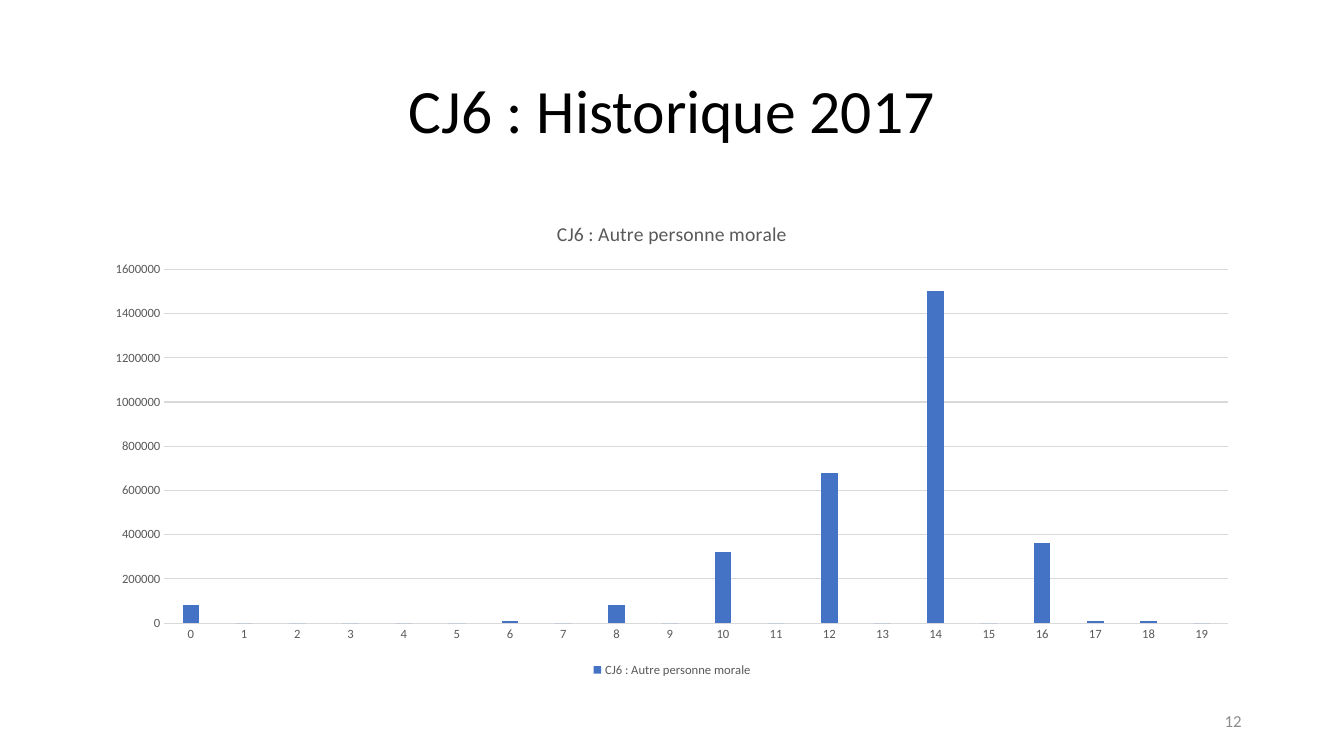
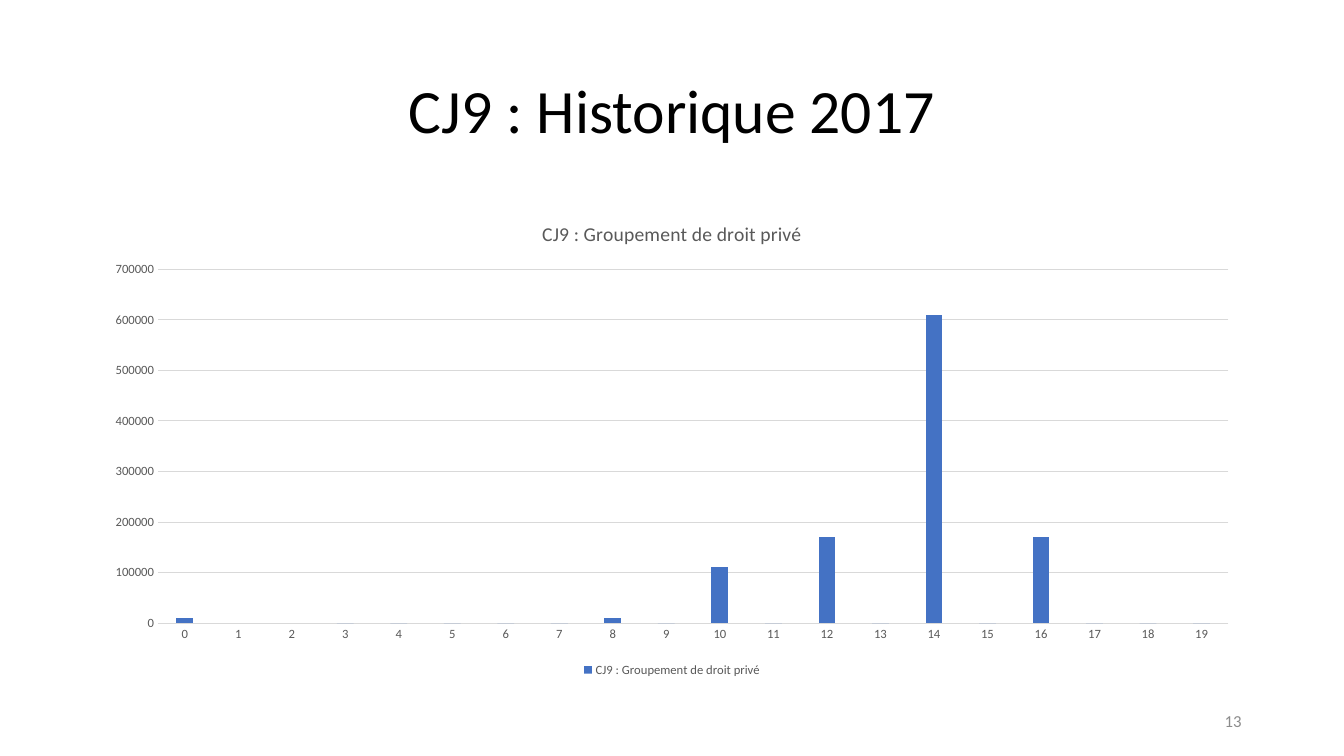
from pptx import Presentation
from pptx.chart import data as cd
from pptx.dml.color import RGBColor
from pptx.enum import chart as ce, text as te
from pptx.util import Cm, Pt

# Shared style
BLACK = RGBColor(0x00, 0x00, 0x00)
GREY_TEXT = RGBColor(0x59, 0x59, 0x59)
GREY_NUMBER = RGBColor(0x8C, 0x8C, 0x8C)
GREY_LINE = RGBColor(0xD9, 0xD9, 0xD9)
BLUE = RGBColor(0x44, 0x72, 0xC4)
FONT = "Calibri"

SLIDE_W, SLIDE_H = Cm(33.87), Cm(19.05)
MARGIN = Cm(2.33)
CONTENT_W = SLIDE_W - 2 * MARGIN
NUMBER_W = Cm(7.62)

# Slide content: number, code, legal category, axis maximum, axis step, values
SLIDES = [
    (12, "CJ6", "Autre personne morale", 1600000, 200000,
     [80000, 0, 0, 0, 0, 0, 10000, 0, 80000, 0,
      320000, 0, 680000, 0, 1500000, 0, 360000, 10000, 10000, 0]),
    (13, "CJ9", "Groupement de droit privé", 700000, 100000,
     [10000, None, None, 0, 0, 0, 0, 0, 10000, 0,
      110000, 0, 170000, 0, 610000, 0, 170000, 0, 0, 0]),
]


def set_attrs(obj, values):
    for name, value in values.items():
        setattr(obj, name, value)


def set_font(font, size, color):
    set_attrs(font, {"name": FONT, "size": Pt(size), "bold": False})
    font.color.rgb = color


def set_line(line, color):
    line.color.rgb = color
    line.width = Pt(0.75)


def write(shape, content, size, color, align, spacing=1.0):
    tf = shape.text_frame
    set_attrs(tf, {"word_wrap": True, "vertical_anchor": te.MSO_ANCHOR.MIDDLE})
    p = tf.paragraphs[0]
    set_attrs(p, {"alignment": align, "line_spacing": spacing})
    r = p.add_run()
    r.text = content
    set_font(r.font, size, color)


def add_title(s, content):
    title = s.shapes.title
    set_attrs(title, {"left": MARGIN, "top": Cm(1.02),
                      "width": CONTENT_W, "height": Cm(3.68)})
    write(title, content, 44, BLACK, te.PP_ALIGN.CENTER, 0.9)


def add_number(s, number):
    box = s.shapes.add_textbox(SLIDE_W - MARGIN - NUMBER_W, Cm(17.65),
                               NUMBER_W, Cm(1.02))
    write(box, str(number), 12, GREY_NUMBER, te.PP_ALIGN.RIGHT)


def add_column_chart(s, name, values, maximum, step):
    data = cd.CategoryChartData()
    data.categories = [str(i) for i in range(len(values))]
    data.add_series(name, values)
    chart = s.shapes.add_chart(ce.XL_CHART_TYPE.COLUMN_CLUSTERED, MARGIN,
                               Cm(5.08), CONTENT_W, Cm(12.09), data).chart
    set_font(chart.font, 10, BLACK)

    # Title and legend
    chart.has_title = True
    r = chart.chart_title.text_frame.paragraphs[0].add_run()
    r.text = name
    set_font(r.font, 14, GREY_TEXT)
    chart.chart_title.include_in_layout = False
    chart.has_legend = True
    set_attrs(chart.legend, {"position": ce.XL_LEGEND_POSITION.BOTTOM,
                             "include_in_layout": False})
    set_font(chart.legend.font, 9, GREY_TEXT)

    # Axes
    for axis in (chart.category_axis, chart.value_axis):
        set_attrs(axis, {"major_tick_mark": ce.XL_TICK_MARK.NONE,
                         "minor_tick_mark": ce.XL_TICK_MARK.NONE})
        set_font(axis.tick_labels.font, 9, GREY_TEXT)
    set_line(chart.category_axis.format.line, GREY_LINE)
    value_axis = chart.value_axis
    set_attrs(value_axis, {"minimum_scale": 0, "maximum_scale": maximum,
                           "major_unit": step, "has_major_gridlines": True})
    value_axis.format.line.fill.background()
    set_line(value_axis.major_gridlines.format.line, GREY_LINE)

    # Columns
    plot = chart.plots[0]
    set_attrs(plot, {"gap_width": 219, "overlap": -27,
                     "vary_by_categories": False})
    fill = plot.series[0].format.fill
    fill.solid()
    fill.fore_color.rgb = BLUE


def main():
    prs = Presentation()
    set_attrs(prs, {"slide_width": SLIDE_W, "slide_height": SLIDE_H})
    title_only = prs.slide_layouts[5]
    for number, code, category, maximum, step, values in SLIDES:
        s = prs.slides.add_slide(title_only)
        add_title(s, f"{code} : Historique 2017")
        add_column_chart(s, f"{code} : {category}", values, maximum, step)
        add_number(s, number)
    prs.save("out.pptx")


if __name__ == "__main__":
    main()
